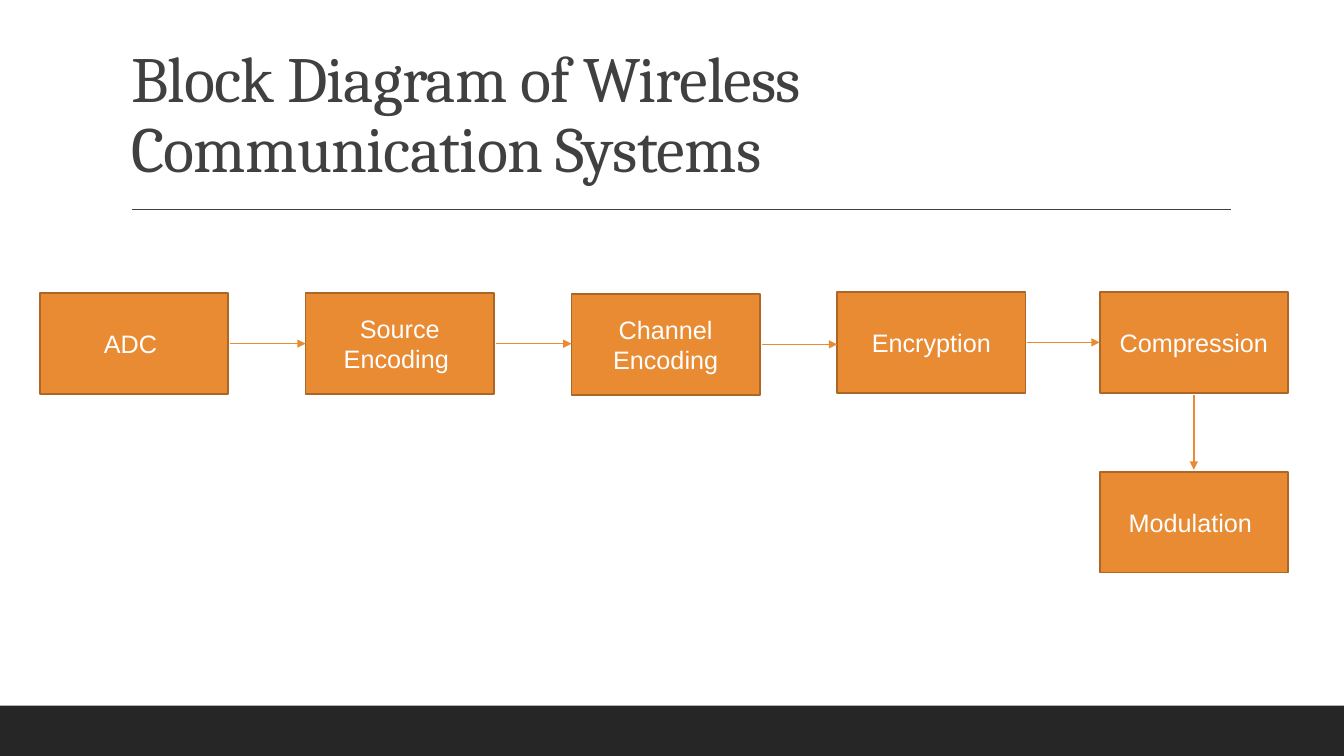
import pptx
import pptx.util
import pptx.dml.color
import pptx.enum.shapes
import pptx.enum.text
import lxml.etree
import pptx.oxml.ns

Pt = pptx.util.Pt
qn = pptx.oxml.ns.qn
RGB = pptx.dml.color.RGBColor.from_string
RECTANGLE = pptx.enum.shapes.MSO_SHAPE.RECTANGLE
ALIGN = pptx.enum.text.PP_ALIGN
ANCHOR = pptx.enum.text.MSO_ANCHOR

COLORS = {
    "footer": "262626",
    "title": "404040",
    "block": "E88B33",
    "border": "AC6726",
    "label": "FFFFFF",
}
BLOCK_WIDTH, BLOCK_HEIGHT = 134.5, 72
ARROW_GAP = 1.4

deck = pptx.Presentation()
deck.slide_width = Pt(960)
deck.slide_height = Pt(540)
page = deck.slides.add_slide(deck.slide_layouts[5])


def add_rectangle(left, top, width, height, fill):
    box = page.shapes.add_shape(RECTANGLE, Pt(left), Pt(top), Pt(width), Pt(height))
    box.shadow.inherit = False
    box.fill.solid()
    box.fill.fore_color.rgb = RGB(COLORS[fill])
    box.line.fill.background()
    return box


def add_line(start, end, color, arrow=False):
    line = page.shapes.add_connector(
        pptx.enum.shapes.MSO_CONNECTOR.STRAIGHT,
        Pt(start[0]), Pt(start[1]), Pt(end[0]), Pt(end[1]),
    )
    line.line.color.rgb = RGB(COLORS[color])
    line.line.width = Pt(1)
    if arrow:
        lxml.etree.SubElement(line.line._get_or_add_ln(), qn("a:tailEnd"), type="triangle")
    lxml.etree.SubElement(line._element.spPr, qn("a:effectLst"))


add_rectangle(0, 504, 960, 36, "footer")
add_line((94.3, 149.5), (879, 149.5), "title")

title = page.shapes.title
title.left, title.top, title.width, title.height = Pt(86.4), Pt(22.6), Pt(792), Pt(114.2)
title.text_frame.word_wrap = True
title.text_frame.auto_size = pptx.enum.text.MSO_AUTO_SIZE.NONE
title.text_frame.vertical_anchor = ANCHOR.BOTTOM
para = title.text_frame.paragraphs[0]
para.alignment = ALIGN.LEFT
para.line_spacing = 0.9
span = para.add_run()
span.text = "Block Diagram of Wireless Communication Systems"
span.font.name = "Cambria"
span.font.size = Pt(46)
span.font.color.rgb = RGB(COLORS["title"])
span.font._element.set("spc", "-50")

blocks = [
    ("ADC ", 28.5, 209.5),
    ("Source Encoding ", 218.3, 209.5),
    ("Channel Encoding", 408.2, 210),
    ("Encryption", 598, 208.6),
    ("Compression", 785.5, 208.6),
    ("Modulation ", 785.5, 337),
]
for label, left, top in blocks:
    box = add_rectangle(left, top, BLOCK_WIDTH, BLOCK_HEIGHT, "block")
    box.line.color.rgb = RGB(COLORS["border"])
    box.line.width = Pt(1.25)
    box.text_frame.word_wrap = True
    box.text_frame.vertical_anchor = ANCHOR.MIDDLE
    para = box.text_frame.paragraphs[0]
    para.alignment = ALIGN.CENTER
    span = para.add_run()
    span.text = label
    span.font.name = "Arial"
    span.font.size = Pt(18)
    span.font.color.rgb = RGB(COLORS["label"])

for (_, left, top), (_, next_left, next_top) in zip(blocks, blocks[1:]):
    if next_left > left:
        middle = top + BLOCK_HEIGHT / 2
        start = (left + BLOCK_WIDTH + ARROW_GAP, middle)
        end = (next_left, middle)
    else:
        center = left + BLOCK_WIDTH / 2
        start = (center, top + BLOCK_HEIGHT + ARROW_GAP)
        end = (center, next_top - ARROW_GAP)
    add_line(start, end, "block", arrow=True)

deck.save("out.pptx")
